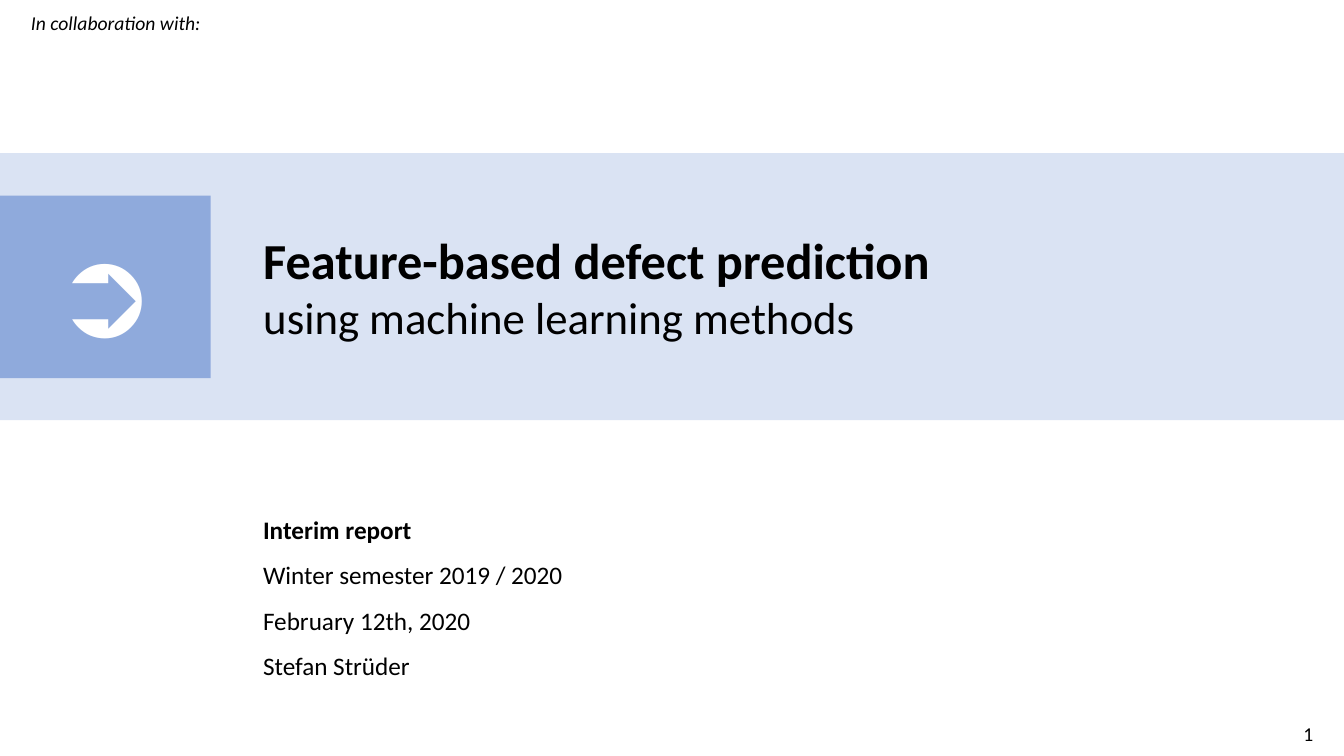
from lxml.etree import SubElement
from pptx import Presentation
from pptx.dml.color import RGBColor
from pptx.enum.shapes import MSO_SHAPE
from pptx.enum.text import MSO_ANCHOR, MSO_AUTO_SIZE, PP_ALIGN
from pptx.oxml.ns import qn
from pptx.util import Cm, Pt

COLORS = {"band": "DAE3F3", "marker": "8FAADC", "text": "000000", "arrow": "FFFFFF"}
FONT = "Calibri"
SLIDE_WIDTH, SLIDE_HEIGHT = 33.87, 19.05
TEXT_LEFT = 6.38


def write_line(paragraph, text, size=18, color="text", bold=False, italic=False,
               align=PP_ALIGN.LEFT, spacing=1.0):
    paragraph.alignment = align
    paragraph.line_spacing = spacing
    run = paragraph.add_run()
    run.text = text
    run.font.name = FONT
    run.font.size = Pt(size)
    run.font.bold = bold
    run.font.italic = italic
    run.font.color.rgb = RGBColor.from_string(COLORS[color])
    return run


def write_lines(frame, lines, **shared):
    for index, (text, own) in enumerate(lines):
        paragraph = frame.add_paragraph() if index else frame.paragraphs[0]
        write_line(paragraph, text, **shared, **own)


def add_block(slide, left, top, width, height, color):
    block = slide.shapes.add_shape(
        MSO_SHAPE.RECTANGLE, Cm(left), Cm(top), Cm(width), Cm(height))
    block.shadow.inherit = False
    block.fill.solid()
    block.fill.fore_color.rgb = RGBColor.from_string(COLORS[color])
    block.line.fill.background()
    block.text_frame.vertical_anchor = MSO_ANCHOR.MIDDLE
    return block


def add_text(slide, left, top, width, height, lines, wrap=False, **shared):
    frame = slide.shapes.add_textbox(Cm(left), Cm(top), Cm(width), Cm(height)).text_frame
    frame.word_wrap = wrap
    write_lines(frame, lines, **shared)
    return frame


def place_title(slide, left, top, width, height, lines):
    title = slide.shapes.title
    title.left, title.top, title.width, title.height = map(Cm, (left, top, width, height))
    title.element.getparent().append(title.element)
    frame = title.text_frame
    frame.word_wrap = False
    frame.auto_size = MSO_AUTO_SIZE.NONE
    frame.vertical_anchor = MSO_ANCHOR.TOP
    write_lines(frame, lines)


def add_page_number(slide, left, top, width, height):
    frame = add_text(slide, left, top, width, height, [], wrap=True)
    frame.vertical_anchor = MSO_ANCHOR.MIDDLE
    number = write_line(frame.paragraphs[0], "1", size=14, align=PP_ALIGN.RIGHT)
    run = number._r
    field = SubElement(run.getparent(), qn("a:fld"), type="slidenum",
                       id="{B6F15528-21DE-4FAA-801E-634DDDAF4B2B}")
    field.extend(list(run))
    run.getparent().remove(run)


def main():
    presentation = Presentation()
    presentation.slide_width = Cm(SLIDE_WIDTH)
    presentation.slide_height = Cm(SLIDE_HEIGHT)
    slide = presentation.slides.add_slide(presentation.slide_layouts[5])

    add_block(slide, 0, 3.86, SLIDE_WIDTH, 6.73, "band")
    place_title(slide, TEXT_LEFT, 5.64, 17.5, 3.18, [
        ("Feature-based defect prediction", {"size": 36, "bold": True}),
        ("using machine learning methods", {"size": 32}),
    ])
    add_text(slide, TEXT_LEFT, 12.45, 8.15, 4.75, [
        ("Interim report", {"bold": True}),
        ("Winter semester 2019 / 2020", {}),
        ("February 12th, 2020", {}),
        ("Stefan Strüder", {}),
    ], spacing=1.5)
    add_page_number(slide, 24.23, 18.06, 9.12, 0.86)
    add_text(slide, 0.53, 0.15, 4.83, 0.86,
             [("In collaboration with:", {"size": 14, "italic": True})])
    marker = add_block(slide, 0, 4.93, 5.31, 4.6, "marker")
    write_lines(marker.text_frame, [("➲", {"size": 88, "color": "arrow"})],
                align=PP_ALIGN.CENTER)

    presentation.save("out.pptx")


main()
